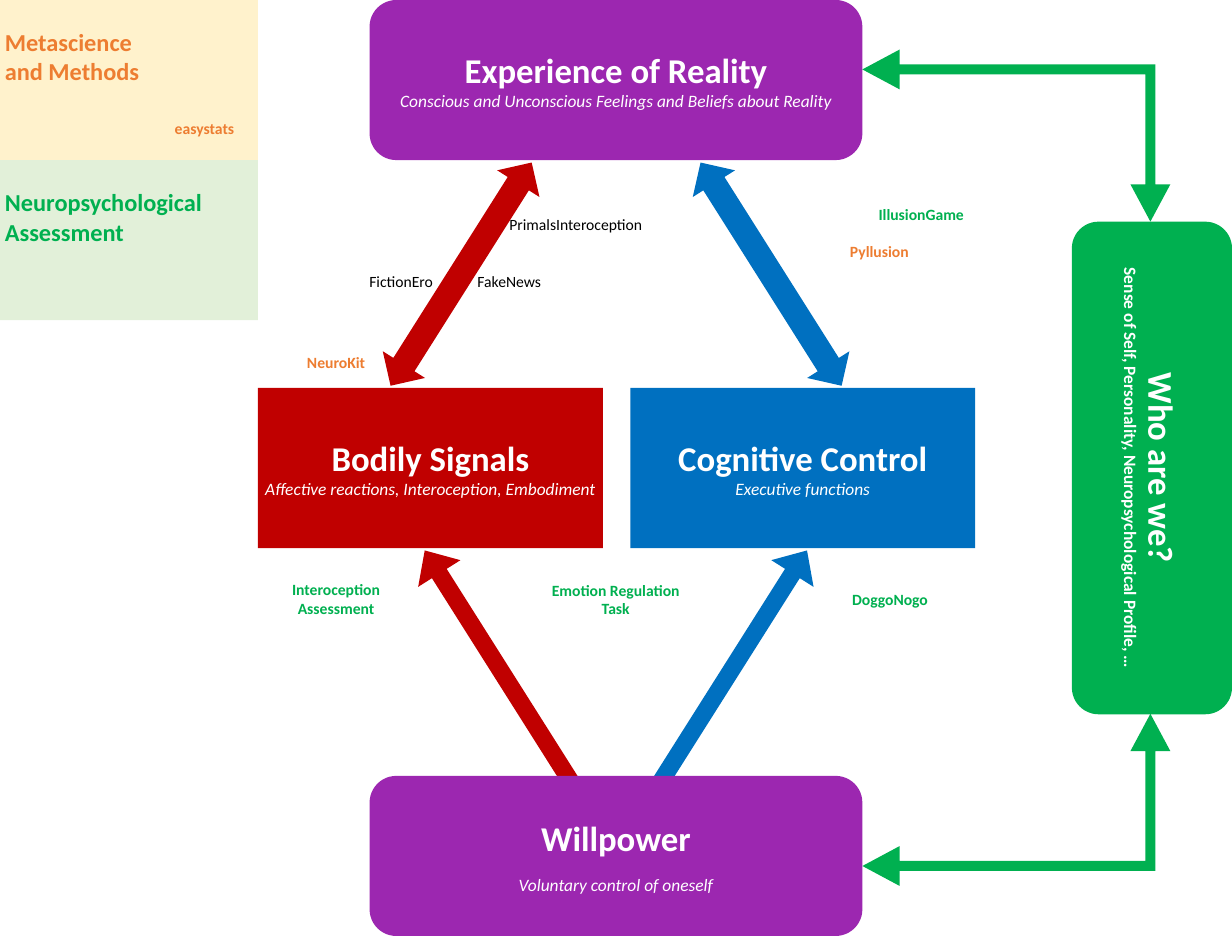
from pptx import Presentation
from pptx.dml.color import RGBColor
from pptx.enum.shapes import MSO_SHAPE as Shape
from pptx.enum.text import MSO_ANCHOR as Anchor, PP_ALIGN as Align
from pptx.util import Cm, Pt

COLORS = {
    "purple": "9C27B0",
    "red": "C00000",
    "blue": "0070C0",
    "green": "00B050",
    "orange": "ED7D31",
    "cream": "FFF2CC",
    "mint": "E2F0D9",
    "white": "FFFFFF",
    "black": "000000",
}
BOX_HEIGHT = 6.5
WIDE_BOX, NARROW_BOX = 20, 14
LEGEND_LEFT, LEGEND_WIDTH = -0.05, 10.52
TILT = 32.3
ARROW_WIDTH = 2.03


def rgb(name):
    return RGBColor.from_string(COLORS[name])


def add_block(page, preset, left, top, width, height, color, rotation=0, adjustments=()):
    block = page.shapes.add_shape(preset, Cm(left), Cm(top), Cm(width), Cm(height))
    block.shadow.inherit = False
    block.fill.solid()
    block.fill.fore_color.rgb = rgb(color)
    block.line.fill.background()
    block.rotation = rotation
    for index, value in enumerate(adjustments):
        block.adjustments[index] = value
    return block


def write_lines(shape, lines, color, align):
    frame = shape.text_frame
    frame.word_wrap = True
    frame.vertical_anchor = Anchor.MIDDLE
    for index, (text, size, bold, italic) in enumerate(lines):
        para = frame.add_paragraph() if index else frame.paragraphs[0]
        para.alignment = align
        span = para.add_run()
        span.text = text
        font = span.font
        font.name = "Calibri"
        font.size = Pt(size)
        font.bold = bold
        font.italic = italic
        font.color.rgb = rgb(color)
    return frame


def add_theme(page, preset, left, top, width, color, title, subtitle, rotation=0, plain=False):
    box = add_block(page, preset, left, top, width, BOX_HEIGHT, color, rotation)
    lines = [(title, 40, True, False), (subtitle, 20, plain, not plain)]
    return write_lines(box, lines, "white", Align.CENTER)


def add_text(page, left, top, width, height, lines, color, align):
    box = page.shapes.add_textbox(Cm(left), Cm(top), Cm(width), Cm(height))
    write_lines(box, lines, color, align)


def add_label(page, text, left, top, color):
    line = (text, 18, color != "black", False)
    add_text(page, left, top, 6.5, 3, [line], color, Align.CENTER)


def add_legend(page, top, fill, color, texts):
    add_block(page, Shape.RECTANGLE, LEGEND_LEFT, top, LEGEND_WIDTH, BOX_HEIGHT, fill)
    lines = [(text, 28, True, False) for text in texts]
    add_text(page, LEGEND_LEFT, top, 10.4, 4.6, lines, color, Align.LEFT)


def add_one_way(page, left, color, rotation):
    add_block(page, Shape.UP_ARROW, left, 21.41, ARROW_WIDTH, 12.12, color, rotation, (0.348, 0.546))


def add_two_way(page, left, color, rotation):
    add_block(page, Shape.UP_DOWN_ARROW, left, 5.77, ARROW_WIDTH, 10.72, color, rotation, (0.265, 0.5))


def add_corner(page, top, flipped):
    arrow = add_block(page, Shape.LEFT_UP_ARROW, 35, top, 12.5, 6.99, "green",
                      adjustments=(0.058, 0.116, 0.217))
    if flipped:
        arrow._element.spPr.xfrm.set("flipV", "1")


def main():
    deck = Presentation()
    deck.slide_width, deck.slide_height = Cm(50), Cm(38)
    page = deck.slides.add_slide(deck.slide_layouts[6])

    add_one_way(page, 28.5, "blue", TILT)
    add_one_way(page, 19.46, "red", -TILT)

    add_legend(page, 0, "cream", "orange", ["Metascience", "and Methods"])
    add_legend(page, BOX_HEIGHT, "mint", "green", ["Neuropsychological Assessment"])

    rounded, square = Shape.ROUNDED_RECTANGLE, Shape.RECTANGLE
    add_theme(page, rounded, 15, 0, WIDE_BOX, "purple", "Experience of Reality",
              "Conscious and Unconscious Feelings and Beliefs about Reality")
    willpower = add_theme(page, rounded, 15, 31.5, WIDE_BOX, "purple", "Willpower",
                          "Voluntary control of oneself")
    willpower.paragraphs[1].space_before = Pt(19)
    add_theme(page, square, 10.47, 15.75, NARROW_BOX, "red", "Bodily Signals",
              "Affective reactions, Interoception, Embodiment")
    add_theme(page, square, 25.58, 15.75, NARROW_BOX, "blue", "Cognitive Control",
              "Executive functions")
    add_theme(page, rounded, 36.75, 15.75, WIDE_BOX, "green", "Who are we?",
              "Sense of Self, Personality, Neuropsychological Profile, …", 90, True)

    add_corner(page, 2.01, True)
    add_corner(page, 28.98, False)
    add_two_way(page, 30.28, "blue", -TILT)
    add_two_way(page, 17.7, "red", TILT)

    labels = [
        ("PrimalsInteroception", 20.12, 7.59, "black"),
        ("FakeNews", 17.42, 9.93, "black"),
        ("FictionEro", 13.03, 9.93, "black"),
        ("easystats", 5.05, 3.71, "orange"),
        ("Pyllusion", 32.44, 8.71, "orange"),
        ("NeuroKit", 10.39, 13.21, "orange"),
        ("IllusionGame", 34.14, 7.19, "green"),
        ("Interoception Assessment", 10.39, 22.81, "green"),
        ("Emotion Regulation Task", 21.74, 22.83, "green"),
        ("DoggoNogo", 32.87, 22.81, "green"),
    ]
    for label in labels:
        add_label(page, *label)

    deck.save("out.pptx")


if __name__ == "__main__":
    main()
